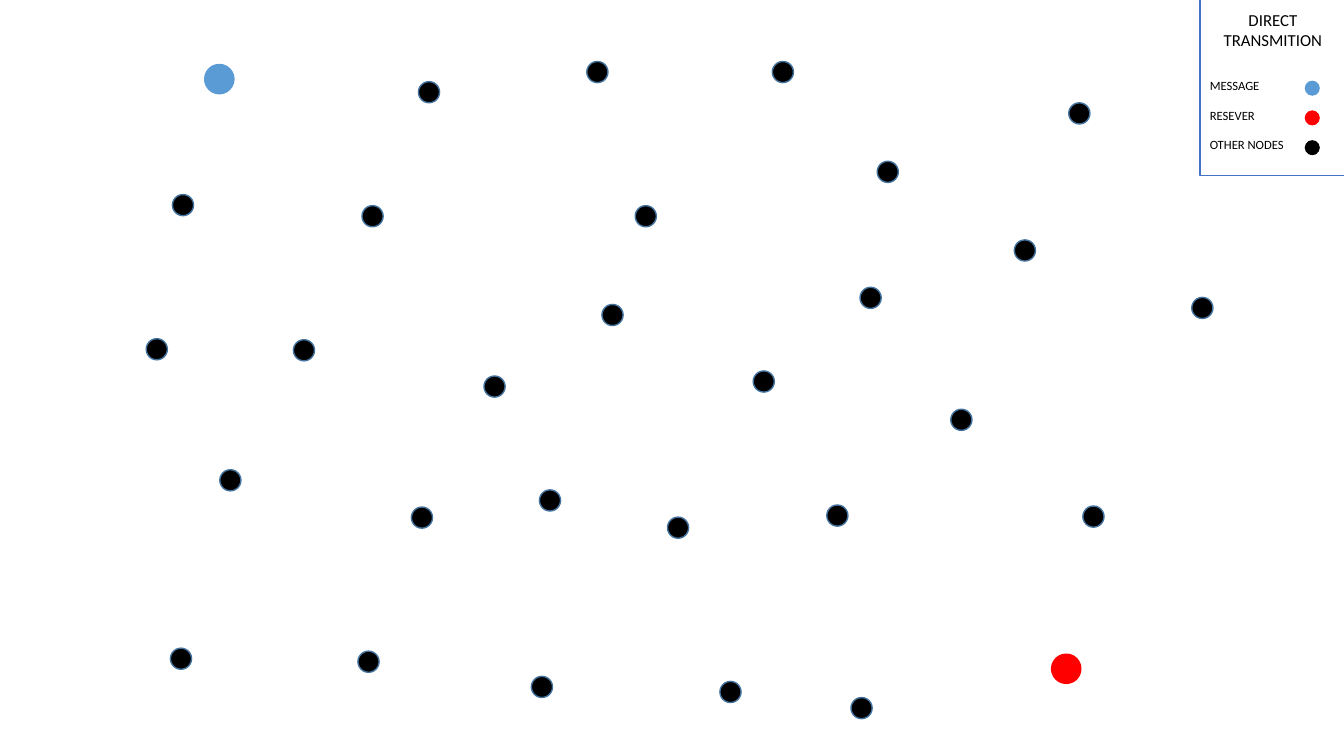
import pptx
import pptx.util
import pptx.dml.color
import pptx.enum.shapes
import pptx.enum.text

WIDE, HIGH = 13.33, 7.5
HUES = {"blue": "5B9BD5", "red": "FF0000", "black": "000000",
        "rim": "43739E", "white": "FFFFFF", "frame": "4472C4"}
NODES = [
    (4.15, 0.81), (5.82, 0.61), (7.66, 0.61), (10.6, 1.02), (8.7, 1.6),
    (1.71, 1.93), (3.59, 2.04), (6.3, 2.04), (10.06, 2.38), (8.53, 2.85),
    (11.82, 2.95), (5.97, 3.02), (1.45, 3.36), (2.91, 3.37), (4.8, 3.73),
    (7.47, 3.68), (9.43, 4.06), (2.18, 4.66), (5.35, 4.86), (4.08, 5.03),
    (6.62, 5.13), (8.2, 5.01), (10.74, 5.02), (1.69, 6.43), (3.55, 6.46),
    (5.27, 6.71), (7.14, 6.76), (8.44, 6.92),
]
ENDS = [(2.07, 0.68, "blue"), (10.47, 6.53, "red")]
HEAD = "DIRECT TRANSMITION"
KEYS = [("MESSAGE", "blue"), ("RESEVER", "red"), ("OTHER NODES", "black")]
NODE, DOT = 0.21, 0.15
PANEL = (11.9, -0.02, 1.45, 1.76)
DOT_X, DOT_Y, STEP = 12.94, 0.8, 0.295

inch, pt = pptx.util.Inches, pptx.util.Pt
FORMS = pptx.enum.shapes.MSO_SHAPE
ALIGN = pptx.enum.text.PP_ALIGN


def tint(hue):
    return pptx.dml.color.RGBColor.from_string(HUES[hue])


def draw(form, box, fill, edge=None, thick=1):
    shape = slide.shapes.add_shape(form, *map(inch, box))
    shape.shadow.inherit = False
    shape.fill.solid()
    shape.fill.fore_color.rgb = tint(fill)
    if edge:
        shape.line.color.rgb = tint(edge)
        shape.line.width = pt(thick)
    else:
        shape.line.fill.background()
    return shape


def disc(left, top, size, fill, edge=None, thick=1):
    draw(FORMS.FLOWCHART_CONNECTOR, (left, top, size, size), fill, edge, thick)


def write(para, text, size, align, gap=0):
    para.text = text
    para.alignment = align
    para.space_before = pt(gap)
    para.font.name = "Calibri"
    para.font.size = pt(size)
    para.font.color.rgb = tint("black")


deck = pptx.Presentation()
deck.slide_width, deck.slide_height = inch(WIDE), inch(HIGH)
slide = deck.slides.add_slide(deck.slide_layouts[6])

for left, top in NODES:
    disc(left, top, NODE, "black", "rim")
for left, top, hue in ENDS:
    disc(left, top, NODE, hue, hue, 6.75)

frame = draw(FORMS.RECTANGLE, PANEL, "white", "frame").text_frame
frame.word_wrap = True
frame.vertical_anchor = pptx.enum.text.MSO_ANCHOR.TOP
frame.margin_top = inch(0.12)
write(frame.paragraphs[0], HEAD, 12, ALIGN.CENTER)
for row, (label, hue) in enumerate(KEYS):
    write(frame.add_paragraph(), label, 9, ALIGN.LEFT, 10.5 if row else 19.5)
    disc(DOT_X, DOT_Y + row * STEP, DOT, hue)

deck.save("out.pptx")
